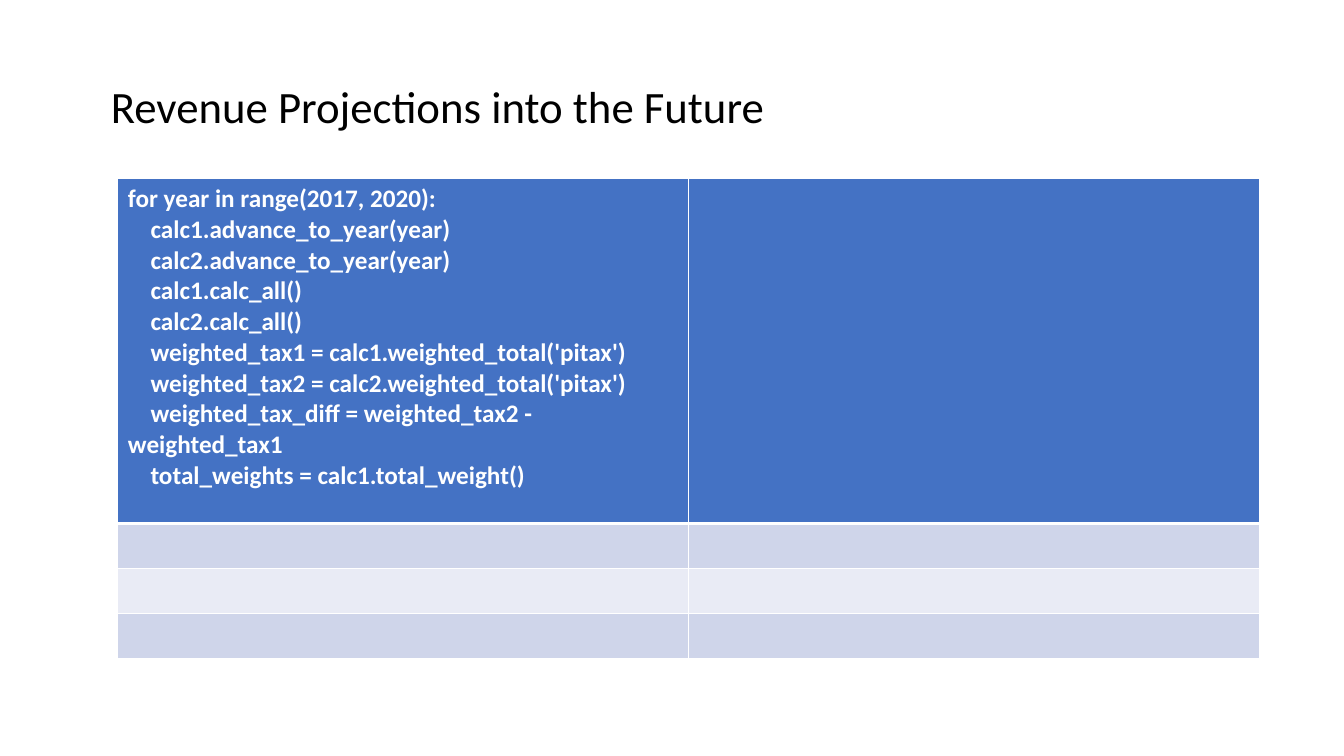
"""Build the revenue projections slide: a title above a code table."""
from dataclasses import dataclass

from lxml import etree
from pptx import Presentation
from pptx.dml.color import RGBColor
from pptx.enum.text import MSO_ANCHOR, MSO_AUTO_SIZE, PP_ALIGN
from pptx.oxml.ns import qn
from pptx.util import Cm, Pt


@dataclass(frozen=True)
class Theme:
    font: str = "Calibri"
    title_size: int = 32
    code_size: int = 18
    title: str = "000000"
    white: str = "FFFFFF"
    header: str = "4472C4"
    dark_band: str = "CFD5EA"
    light_band: str = "E9EBF5"
    thin: float = 1
    thick: float = 3


@dataclass(frozen=True)
class CodeLine:
    text: str
    level: int = 1


@dataclass(frozen=True)
class TableRow:
    height: float
    fill: str
    top: float
    bottom: float
    code: tuple[CodeLine, ...] = ()


THEME = Theme()
INDENT = 0.57
COLUMN_WIDTH = 14.39
BAND_HEIGHT = 1.14

LOOP = (
    CodeLine("for year in range(2017, 2020):", 0),
    CodeLine("calc1.advance_to_year(year)"),
    CodeLine("calc2.advance_to_year(year)"),
    CodeLine("calc1.calc_all()"),
    CodeLine("calc2.calc_all()"),
    CodeLine("weighted_tax1 = calc1.weighted_total('pitax')"),
    CodeLine("weighted_tax2 = calc2.weighted_total('pitax')"),
    CodeLine("weighted_tax_diff = weighted_tax2 - weighted_tax1"),
    CodeLine("total_weights = calc1.total_weight()"),
)
ROWS = (
    TableRow(8.69, THEME.header, THEME.thin, THEME.thick, LOOP),
    TableRow(BAND_HEIGHT, THEME.dark_band, THEME.thick, THEME.thin),
    TableRow(BAND_HEIGHT, THEME.light_band, THEME.thin, THEME.thin),
    TableRow(BAND_HEIGHT, THEME.dark_band, THEME.thin, THEME.thin),
)


def style_font(font, size: float, color: str, bold: bool) -> None:
    font.name, font.size, font.bold = THEME.font, Pt(size), bold
    font.color.rgb = RGBColor.from_string(color)


def add_title(slide, text: str) -> None:
    title = slide.shapes.title
    title.left, title.top, title.width, title.height = Cm(2.54), Cm(1.32), Cm(28.78), Cm(2.84)
    frame = title.text_frame
    frame.text = text
    frame.auto_size = MSO_AUTO_SIZE.NONE
    frame.vertical_anchor = MSO_ANCHOR.MIDDLE
    paragraph = frame.paragraphs[0]
    paragraph.alignment = PP_ALIGN.LEFT
    paragraph.line_spacing = 0.9
    style_font(paragraph.runs[0].font, THEME.title_size, THEME.title, False)


def set_borders(cell, row: TableRow) -> None:
    properties = cell._tc.get_or_add_tcPr()
    widths = {"a:lnL": THEME.thin, "a:lnR": THEME.thin, "a:lnT": row.top, "a:lnB": row.bottom}
    for tag, width in widths.items():
        line = etree.SubElement(properties, qn(tag), w=str(Pt(width)))
        fill = etree.SubElement(line, qn("a:solidFill"))
        etree.SubElement(fill, qn("a:srgbClr"), val=THEME.white)


def write_code(cell, lines: tuple[CodeLine, ...]) -> None:
    frame = cell.text_frame
    frame.text = "\n".join(line.text for line in lines)
    for paragraph, line in zip(frame.paragraphs, lines):
        properties = paragraph._p.get_or_add_pPr()
        properties.set("marL", "0")
        properties.set("indent", str(Cm(INDENT * line.level)))
        style_font(paragraph.runs[0].font, THEME.code_size, THEME.white, True)


def add_code_table(slide, rows: tuple[TableRow, ...]) -> None:
    height = sum(row.height for row in rows)
    table = slide.shapes.add_table(
        len(rows), 2, Cm(2.97), Cm(4.5), Cm(2 * COLUMN_WIDTH), Cm(height)
    ).table
    for column in table.columns:
        column.width = Cm(COLUMN_WIDTH)
    for table_row, row in zip(table.rows, rows):
        table_row.height = Cm(row.height)
        for cell in table_row.cells:
            set_borders(cell, row)
            cell.fill.solid()
            cell.fill.fore_color.rgb = RGBColor.from_string(row.fill)
        if row.code:
            write_code(table_row.cells[0], row.code)


def main() -> None:
    presentation = Presentation()
    presentation.slide_width, presentation.slide_height = Cm(33.87), Cm(19.05)
    slide = presentation.slides.add_slide(presentation.slide_layouts[5])
    add_title(slide, "Revenue Projections into the Future")
    add_code_table(slide, ROWS)
    presentation.save("out.pptx")


main()
